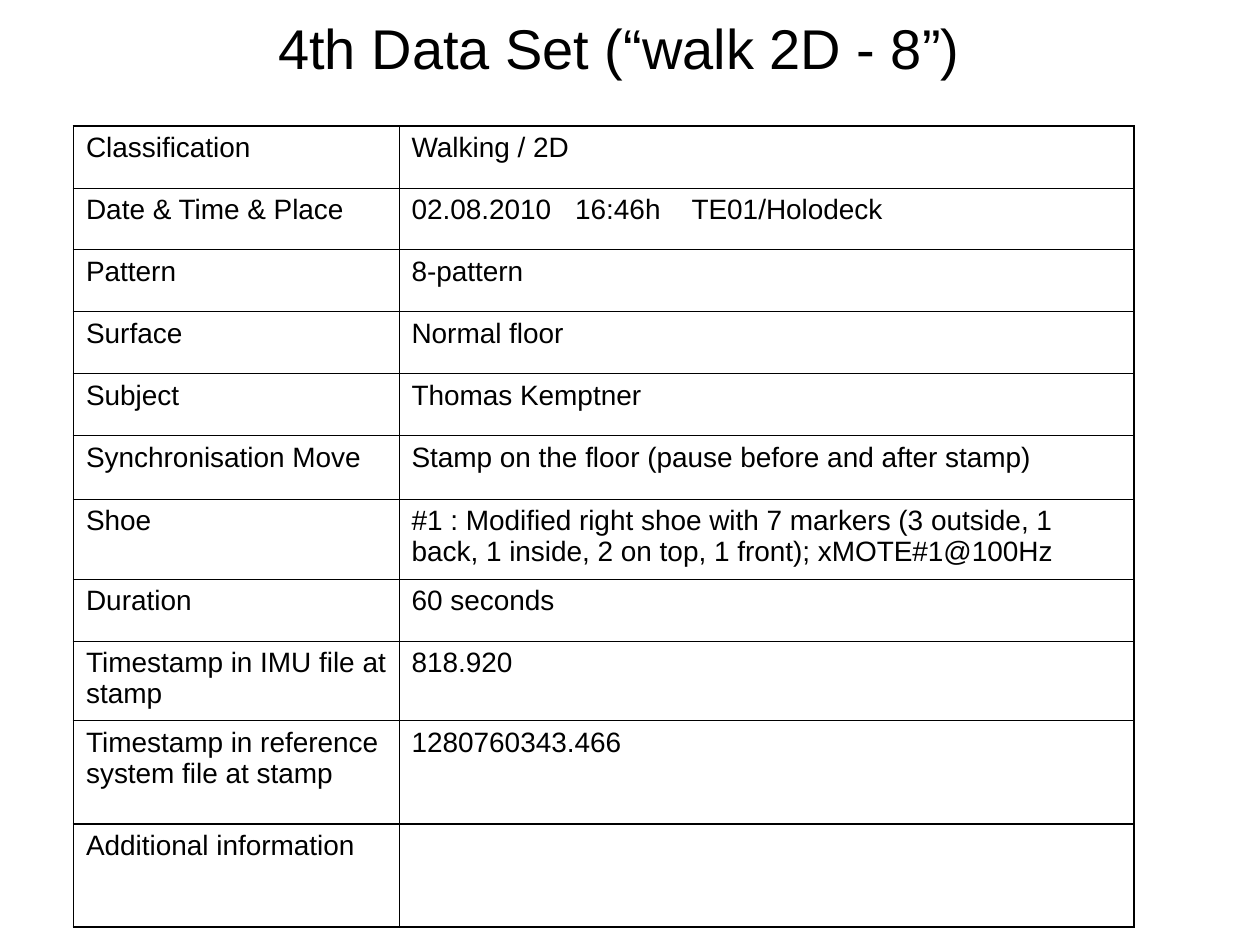
from dataclasses import dataclass

from lxml import etree
from pptx import Presentation, util as u
from pptx.dml.color import RGBColor
from pptx.enum import text
from pptx.oxml import ns

BLACK = RGBColor(0, 0, 0)
FONT = "Arial"
THIN, THICK = u.Pt(0.45), u.Pt(1.08)
COLUMN_WIDTHS = (u.Pt(186), u.Pt(420))
INSETS = dict(margin_left=u.Pt(7.2), margin_right=u.Pt(7.2),
              margin_top=u.Pt(3.6), margin_bottom=u.Pt(3.6))


@dataclass(frozen=True)
class Entry:
    label: str
    value: str
    height: float = 35.4
    tabs: tuple[float, ...] = ()


ENTRIES = (
    Entry("Classification", "Walking / 2D"),
    Entry("Date & Time & Place", "02.08.2010\t16:46h\tTE01/Holodeck", tabs=(93.5, 160)),
    Entry("Pattern", "8-pattern"),
    Entry("Surface", "Normal floor"),
    Entry("Subject", "Thomas Kemptner"),
    Entry("Synchronisation Move", "Stamp on the floor (pause before and after stamp)", 36.4),
    Entry("Shoe", "#1 : Modified right shoe with 7 markers (3 outside, 1 back, "
          "1 inside, 2 on top, 1 front); xMOTE#1@100Hz", 45.5),
    Entry("Duration", "60 seconds"),
    Entry("Timestamp in IMU file at stamp", "818.920", 45.5),
    Entry("Timestamp in reference system file at stamp", "1280760343.466", 59),
    Entry("Additional information", "", 59),
)


def write(frame, content: str, *, size: float, align=text.PP_ALIGN.LEFT,
          tabs: tuple[float, ...] = ()) -> None:
    paragraph = frame.paragraphs[0]
    paragraph.alignment = align
    if tabs:
        tab_list = etree.SubElement(paragraph._p.get_or_add_pPr(), ns.qn("a:tabLst"))
        for position in tabs:
            etree.SubElement(tab_list, ns.qn("a:tab"), pos=str(u.Pt(position)), algn="l")
    paragraph.font.size = u.Pt(size)
    if content:
        run = paragraph.add_run()
        run.text = content
        run.font.size = u.Pt(size)
        run.font.name = FONT
        run.font.color.rgb = BLACK


def set_borders(cell, widths: dict[str, int]) -> None:
    properties = cell._tc.get_or_add_tcPr()
    for side, width in widths.items():
        line = etree.SubElement(properties, ns.qn(f"a:ln{side}"), w=str(width))
        fill = etree.SubElement(line, ns.qn("a:solidFill"))
        etree.SubElement(fill, ns.qn("a:srgbClr"), val=str(BLACK))


def add_title(slide, content: str) -> None:
    shape = slide.shapes.add_textbox(u.Pt(18), u.Pt(0), u.Pt(672), u.Pt(54))
    frame = shape.text_frame
    frame.word_wrap = True
    frame.vertical_anchor = text.MSO_ANCHOR.MIDDLE
    write(frame, content, size=32, align=text.PP_ALIGN.CENTER)


def add_entries(slide, entries: tuple[Entry, ...]) -> None:
    total = u.Pt(sum(entry.height for entry in entries))
    table = slide.shapes.add_table(len(entries), len(COLUMN_WIDTHS), u.Pt(42), u.Pt(72),
                                   sum(COLUMN_WIDTHS), total).table
    table.first_row = table.horz_banding = False
    for column, width in zip(table.columns, COLUMN_WIDTHS):
        column.width = width
    last = len(entries) - 1
    for index, entry in enumerate(entries):
        table.rows[index].height = u.Pt(entry.height)
        top = THICK if index in (0, last) else THIN
        bottom = THICK if index >= last - 1 else THIN
        contents = ((entry.label, ()), (entry.value, entry.tabs))
        for column, (content, tabs) in enumerate(contents):
            cell = table.cell(index, column)
            for name, margin in INSETS.items():
                setattr(cell, name, margin)
            left, right = (THICK, THIN) if column == 0 else (THIN, THICK)
            set_borders(cell, {"L": left, "R": right, "T": top, "B": bottom})
            cell.fill.background()
            write(cell.text_frame, content, size=16, tabs=tabs)


def main() -> None:
    presentation = Presentation()
    presentation.slide_width, presentation.slide_height = u.Pt(720), u.Pt(540)
    slide = presentation.slides.add_slide(presentation.slide_layouts[6])
    add_title(slide, "4th Data Set (“walk 2D - 8”)")
    add_entries(slide, ENTRIES)
    presentation.save("out.pptx")


if __name__ == "__main__":
    main()
